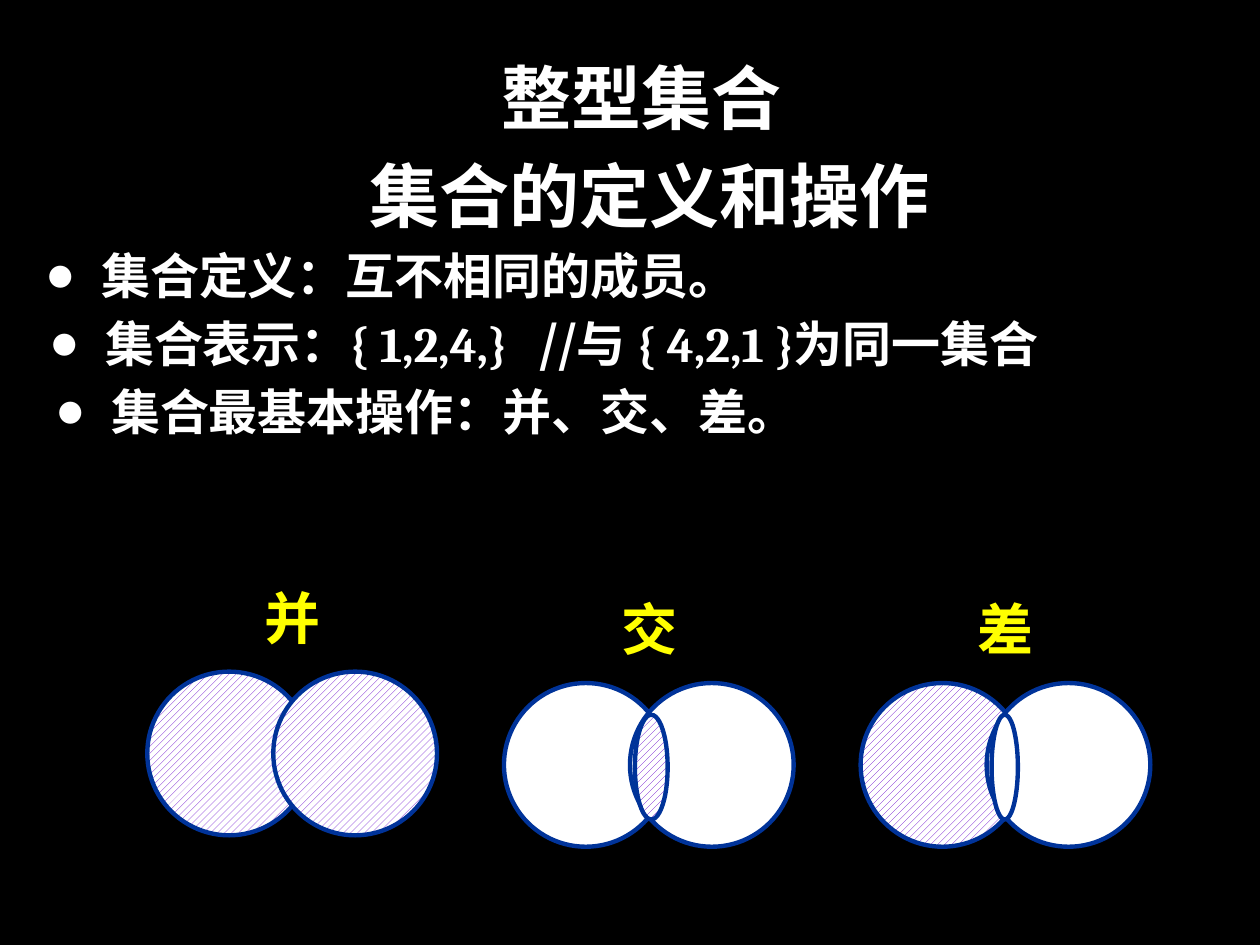
from dataclasses import dataclass

from lxml.etree import SubElement
from pptx import Presentation
from pptx.dml.color import RGBColor
from pptx.enum.dml import MSO_PATTERN
from pptx.enum.shapes import MSO_SHAPE
from pptx.enum.text import MSO_ANCHOR, MSO_AUTO_SIZE, PP_ALIGN
from pptx.oxml.ns import qn
from pptx.util import Cm, Pt


@dataclass(frozen=True)
class Theme:
    background: RGBColor = RGBColor(0x00, 0x00, 0x00)
    text: RGBColor = RGBColor(0xFF, 0xFF, 0xFF)
    label: RGBColor = RGBColor(0xFF, 0xFF, 0x00)
    outline: RGBColor = RGBColor(0x00, 0x33, 0x99)
    hatch: RGBColor = RGBColor(0x66, 0x00, 0xCC)
    paper: RGBColor = RGBColor(0xFF, 0xFF, 0xFF)
    chinese: str = "Noto Sans CJK SC"
    latin: str = "Cambria"
    serif: str = "Times New Roman"
    title_size: float = 40
    list_size: float = 28
    label_size: float = 32
    title_pitch: float = 56
    list_pitch: float = 38.9
    outline_width: float = 2.5


THEME = Theme()


@dataclass(frozen=True)
class Segment:
    text: str
    font: str = THEME.latin
    tracking: float = 0  # extra points after each character


@dataclass(frozen=True)
class Bullet:
    left: float
    segments: tuple[Segment, ...]


@dataclass(frozen=True)
class Venn:
    name: str
    font: str
    left: float
    top: float
    left_hatched: bool
    right_hatched: bool
    lens_width: float = 0
    lens_hatched: bool = False


TITLE_LINES = ("整型集合", " 集合的定义和操作")
BULLETS = (
    Bullet(2.04, (Segment("集合定义：互不相同的成员。"),)),
    Bullet(2.12, (
        Segment("集合表示：{ 1,2,4,}"),
        Segment(" ", tracking=12),
        Segment("//与 ", THEME.chinese),
        Segment("{ 4,2,1 }为同一集合"),
    )),
    Bullet(2.24, (Segment("集合最基本操作：并、交、差。"),)),
)
VENNS = (
    Venn("并", THEME.chinese, 2.97, 13.54, True, True),
    Venn("交", THEME.serif, 10.16, 13.77, False, False, 0.66, True),
    Venn("差", THEME.serif, 17.35, 13.77, True, False, 0.53, False),
)
HANGING = 1.07
CIRCLE = 3.3
CIRCLE_STEP = 2.54
LENS_HEIGHT = 2.11


def style_span(span, font: str, size: float, color: RGBColor) -> None:
    span.font.name = font
    span.font.size = Pt(size)
    span.font.bold = True
    span.font.color.rgb = color
    properties = span.font._element
    east_asian = SubElement(properties, qn("a:ea"))
    east_asian.set("typeface", THEME.chinese)


def place(box, left: float, top: float, width: float, height: float) -> None:
    box.left, box.top, box.width, box.height = Cm(left), Cm(top), Cm(width), Cm(height)


def prepare_frame(frame, left_margin: float = 0) -> None:
    frame.margin_left = Cm(left_margin)
    frame.margin_right = frame.margin_top = frame.margin_bottom = 0
    frame.vertical_anchor = MSO_ANCHOR.TOP
    frame.word_wrap = True
    frame.auto_size = MSO_AUTO_SIZE.NONE


def add_bullet(para, left: float) -> None:
    properties = para._p.get_or_add_pPr()
    properties.set("marL", str(Cm(left)))
    properties.set("indent", str(-Cm(HANGING)))
    SubElement(properties, qn("a:buSzPct")).set("val", "50000")
    SubElement(properties, qn("a:buFont")).set("typeface", THEME.chinese)
    SubElement(properties, qn("a:buChar")).set("char", "●")


def fill_title(box) -> None:
    place(box, 0, 0.82, 25.4, 3.95)
    frame = box.text_frame
    prepare_frame(frame, left_margin=0.46)
    frame.text = "\n".join(TITLE_LINES)
    for para in frame.paragraphs:
        para.alignment = PP_ALIGN.CENTER
        para.line_spacing = Pt(THEME.title_pitch)
        para.space_before = Pt(0)
        style_span(para.runs[0], THEME.chinese, THEME.title_size, THEME.text)


def fill_list(box) -> None:
    place(box, 0, 4.77, 25.4, 4.5)
    frame = box.text_frame
    prepare_frame(frame)
    for index, bullet in enumerate(BULLETS):
        para = frame.paragraphs[0] if index == 0 else frame.add_paragraph()
        para.line_spacing = Pt(THEME.list_pitch)
        para.space_before = Pt(0)
        add_bullet(para, bullet.left)
        for segment in bullet.segments:
            span = para.add_run()
            span.text = segment.text
            style_span(span, segment.font, THEME.list_size, THEME.text)
            if segment.tracking:
                span.font._element.set("spc", str(round(segment.tracking * 100)))


def draw_ellipse(group, left: float, top: float, width: float, height: float,
                 hatched: bool) -> None:
    ellipse = group.shapes.add_shape(
        MSO_SHAPE.OVAL, Cm(left), Cm(top), Cm(width), Cm(height))
    ellipse.shadow.inherit = False
    if hatched:
        ellipse.fill.patterned()
        ellipse.fill.pattern = MSO_PATTERN.WIDE_UPWARD_DIAGONAL
        ellipse.fill.fore_color.rgb = THEME.hatch
        ellipse.fill.back_color.rgb = THEME.paper
    else:
        ellipse.fill.solid()
        ellipse.fill.fore_color.rgb = THEME.paper
    ellipse.line.color.rgb = THEME.outline
    ellipse.line.width = Pt(THEME.outline_width)


def draw_venn(page, venn: Venn) -> None:
    group = page.shapes.add_group_shape()
    # Two overlapping sets
    for step, hatched in enumerate((venn.left_hatched, venn.right_hatched)):
        draw_ellipse(group, venn.left + step * CIRCLE_STEP, venn.top,
                     CIRCLE, CIRCLE, hatched)
    # Name of the operation
    box = group.shapes.add_textbox(
        Cm(venn.left + 2.11), Cm(venn.top - 1.9), Cm(2.11), Cm(1.6))
    frame = box.text_frame
    frame.word_wrap = True
    frame.auto_size = MSO_AUTO_SIZE.SHAPE_TO_FIT_TEXT
    frame.text = venn.name
    style_span(frame.paragraphs[0].runs[0], venn.font, THEME.label_size, THEME.label)
    # Common part
    if venn.lens_width:
        draw_ellipse(group, venn.left + 2.64, venn.top + 0.64,
                     venn.lens_width, LENS_HEIGHT, venn.lens_hatched)


def main() -> None:
    deck = Presentation()
    deck.slide_width, deck.slide_height = Cm(25.4), Cm(19.05)
    page = deck.slides.add_slide(deck.slide_layouts[1])
    page.background.fill.solid()
    page.background.fill.fore_color.rgb = THEME.background
    fill_title(page.shapes.title)
    fill_list(page.placeholders[1])
    for venn in VENNS:
        draw_venn(page, venn)
    deck.save("out.pptx")


if __name__ == "__main__":
    main()
